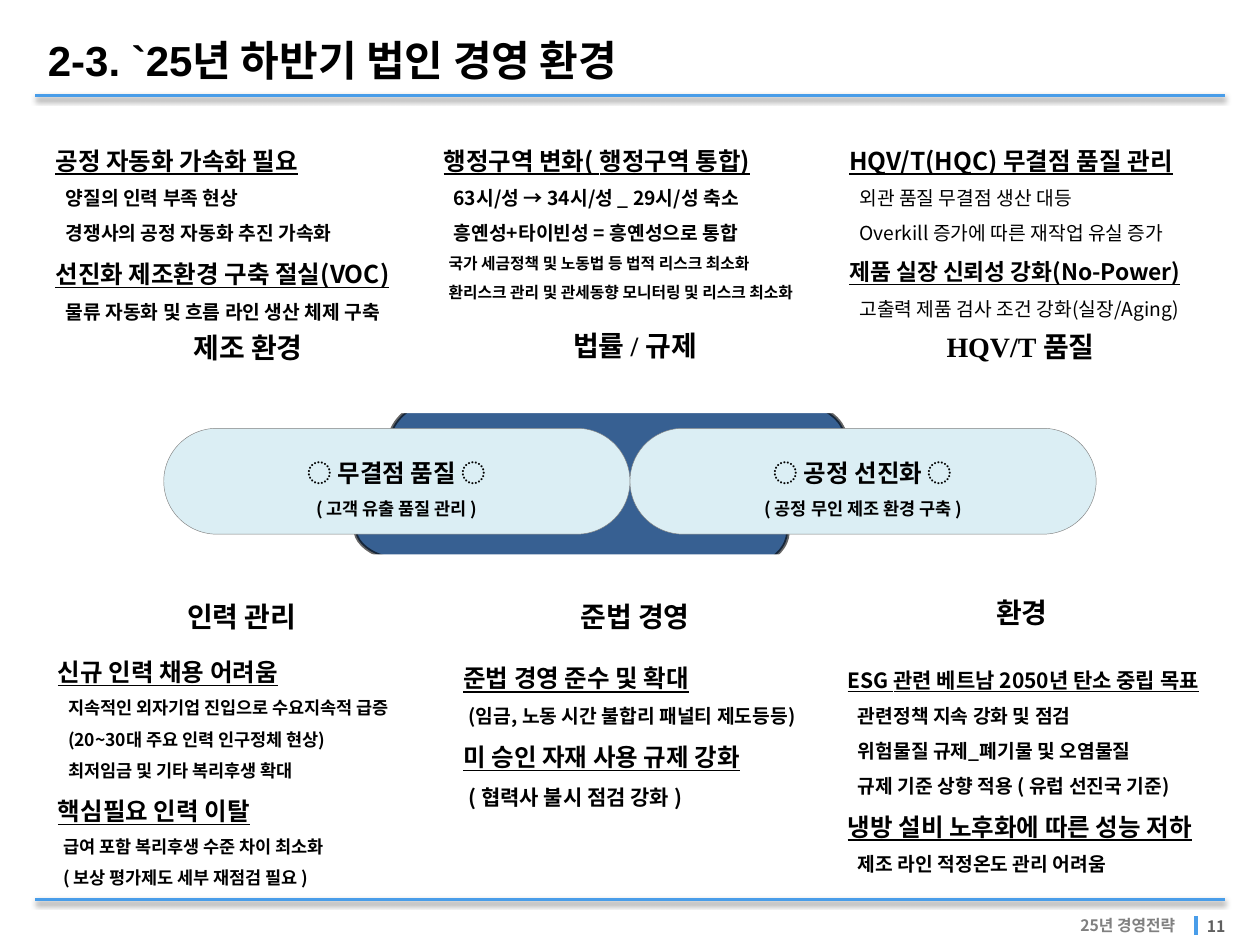
from dataclasses import dataclass
from lxml import etree
from pptx import Presentation
from pptx.dml.color import RGBColor
from pptx.enum.shapes import MSO_CONNECTOR, MSO_SHAPE
from pptx.enum.text import MSO_ANCHOR, MSO_AUTO_SIZE, PP_ALIGN
from pptx.oxml import parse_xml
from pptx.oxml.ns import nsdecls, qn
from pptx.util import Inches, Pt

ROUND, CLOUD = MSO_SHAPE.ROUNDED_RECTANGLE, MSO_SHAPE.CLOUD
LINE = MSO_CONNECTOR.STRAIGHT
TOP, MID = MSO_ANCHOR.TOP, MSO_ANCHOR.MIDDLE
LEFT, CENTER = PP_ALIGN.LEFT, PP_ALIGN.CENTER
FIXED = MSO_AUTO_SIZE.NONE
NOTO, ARIAL, TIMES = "Noto Sans CJK KR", "Arial", "Times New Roman"
WHITE, BLACK, BLUE, PALE = "FFFFFF", "000000", "499DE9", "DBEEF4"
WIDE, HIGH = Inches(10), Inches(7.5)
STEP = Inches(0.04)
PILL = (37, 11.2)
HEAD = (20.6, 8.53)
SHADE = (
    f'<a:effectLst {nsdecls("a")}><a:outerShdw blurRad="39370" dist="20320" '
    'dir="5400000" rotWithShape="0"><a:srgbClr val="000000">'
    '<a:alpha val="38000"/></a:srgbClr></a:outerShdw></a:effectLst>'
)


@dataclass
class Area:
    x: float
    y: float
    w: float
    h: float

    def emu(self) -> tuple:
        return (across(self.x), down(self.y), across(self.w), down(self.h))


@dataclass
class Row:
    text: str
    size: float
    dent: int = 0
    bold: bool = True
    under: bool = False


@dataclass
class Topic:
    name: str
    head: tuple
    area: Area
    rows: list


def across(share: float) -> int:
    return int(WIDE * share / 100)


def down(share: float) -> int:
    return int(HIGH * share / 100)


def hue(code: str) -> RGBColor:
    return RGBColor.from_string(code)


def apply(item, form: dict) -> None:
    for key, val in form.items():
        setattr(item, key, val)


def lead(text: str, size: float) -> Row:
    return Row(text, size, under=True)


def write(shape, rows: list, font=NOTO, color=BLACK, align=LEFT,
          anchor=TOP, gap=1.0, wrap=True) -> None:
    frame = shape.text_frame
    apply(frame, dict(word_wrap=wrap, auto_size=FIXED, vertical_anchor=anchor,
                      margin_left=Inches(0.1), margin_right=Inches(0.1),
                      margin_top=Inches(0.05), margin_bottom=Inches(0.05)))
    for pos, row in enumerate(rows):
        para = frame.add_paragraph() if pos else frame.paragraphs[0]
        props = para._p.get_or_add_pPr()
        props.set("marL", str(row.dent * STEP))
        props.set("indent", "0")
        etree.SubElement(props, qn("a:buNone"))
        apply(para, dict(alignment=align, line_spacing=gap,
                         space_before=Pt(0), space_after=Pt(0)))
        run = para.add_run()
        run.text = row.text
        apply(run.font, dict(name=font, size=Pt(row.size), bold=row.bold,
                             underline=row.under))
        run.font.color.rgb = hue(color)
        east = etree.SubElement(run._r.get_or_add_rPr(), qn("a:ea"))
        east.set("typeface", NOTO)


def block(slide, kind, area: Area, fill: str, edge=None, width=0.25):
    shape = slide.shapes.add_shape(kind, *area.emu())
    shape.shadow.inherit = False
    shape.fill.solid()
    shape.fill.fore_color.rgb = hue(fill)
    if kind == ROUND:
        shape.adjustments[0] = 0.5
    if edge:
        shape.line.color.rgb = hue(edge)
        shape.line.width = Pt(width)
    else:
        shape.line.fill.background()
    return shape


def rule(slide, x1, y1, x2, y2, width, shade=False) -> None:
    line = slide.shapes.add_connector(LINE, across(x1), down(y1), across(x2), down(y2))
    line.line.color.rgb = hue(BLUE)
    line.line.width = Pt(width)
    blank = f'<a:effectLst {nsdecls("a")}/>'
    line._element.spPr.append(parse_xml(SHADE if shade else blank))


def label(slide, area: Area, text: str, color: str, **form) -> None:
    box = slide.shapes.add_textbox(*area.emu())
    write(box, [Row(text, 9)], color=color, anchor=MID, **form)


def settle(slide, shape, area: Area) -> None:
    apply(shape, dict(zip(("left", "top", "width", "height"), area.emu())))
    slide.shapes._spTree.append(shape._element)


TOPICS = [
    Topic("HQV/T 품질", (70.7, 32.4), Area(66.4, 13.2, 31.1, 21.87), [
        lead("HQV/T(HQC) 무결점 품질 관리", 14),
        Row("외관 품질 무결점 생산 대등", 11, 2, False),
        Row("Overkill 증가에 따른 재작업 유실 증가", 11, 2, False),
        lead("제품 실장 신뢰성 강화(No-Power)", 13),
        Row("고출력 제품 검사 조건 강화(실장/Aging)", 11, 2, False)]),
    Topic("제조 환경", (9.4, 32.53), Area(3.4, 13.2, 31.5, 21.87), [
        lead("공정 자동화 가속화 필요", 14),
        Row("양질의 인력 부족 현상", 11, 2),
        Row("경쟁사의 공정 자동화 추진 가속화", 11, 2),
        lead("선진화 제조환경 구축 절실(VOC)", 14),
        Row("물류 자동화 및 흐름 라인 생산 체제 구축", 11, 2)]),
    Topic("법률 / 규제", (40.1, 32.27), Area(34.2, 13.2, 34.7, 19.47), [
        lead("행정구역 변화( 행정구역 통합)", 14),
        Row("63시/성 → 34시/성 _ 29시/성 축소", 11, 2),
        Row("흥옌성+타이빈성 = 흥옌성으로 통합", 11, 2),
        Row("국가 세금정책 및 노동법 등 법적 리스크 최소화", 9, 1),
        Row("환리스크 관리 및 관세동향 모니터링 및 리스크 최소화", 9, 1)]),
    Topic("인력 관리", (8.9, 60.93), Area(3.6, 67.33, 34.6, 30.93), [
        lead("신규 인력 채용 어려움", 14),
        Row("지속적인 외자기업 진입으로 수요지속적 급증", 10, 2),
        Row("(20~30대 주요 인력 인구정체 현상)", 10, 2),
        Row("최저임금 및 기타 복리후생 확대", 10, 2),
        lead("핵심필요 인력 이탈", 14),
        Row("급여 포함 복리후생 수준 차이 최소화", 10, 1),
        Row("( 보상 평가제도 세부 재점검 필요 )", 10, 1)]),
    Topic("준법 경영", (40.1, 60.93), Area(35.8, 68, 31.4, 18.53), [
        lead("준법 경영 준수 및 확대", 14),
        Row("(임금, 노동 시간 불합리 패널티 제도등등)", 11, 1),
        lead("미 승인 자재 사용 규제 강화", 14),
        Row("( 협력사 불시 점검 강화 )", 12, 1)]),
    Topic("환경", (70.8, 60.53), Area(66.3, 68.67, 33.7, 24.93), [
        lead("ESG 관련 베트남 2050년 탄소 중립 목표", 12),
        Row("관련정책 지속 강화 및 점검", 11, 2),
        Row("위험물질 규제_폐기물 및 오염물질", 11, 2),
        Row("규제 기준 상향 적용 ( 유럽 선진국 기준)", 11, 2),
        lead("냉방 설비 노후화에 따른 성능 저하", 14),
        Row("제조 라인 적정온도 관리 어려움", 11, 2)]),
]
GOALS = [
    (50, "◌ 공정 선진화 ◌", "( 공정 무인 제조 환경 구축 )"),
    (13, "◌ 무결점 품질 ◌", "( 고객 유출 품질 관리 )"),
]


def main() -> None:
    deck = Presentation()
    apply(deck, dict(slide_width=WIDE, slide_height=HIGH))
    slide = deck.slides.add_slide(deck.slide_layouts[4])
    title, *lists = slide.placeholders

    for y in (10.13, 95.2):
        rule(slide, 97.2, y, 2.8, y, 2, True)
    label(slide, Area(94.8, 96.93, 4.4, 2.67), "11", "5F5F5F", gap=0.6)
    label(slide, Area(83.7, 96.27, 11.6, 3.33), "25년 경영전략", "808080",
          align=CENTER, wrap=False)
    rule(slide, 94.9, 96.93, 94.9, 98.93, 2.25)

    settle(slide, title, Area(2.8, 3.73, 77.2, 6))
    write(title, [Row("2-3. `25년 하반기 법인 경영 환경", 24)], ARIAL,
          anchor=MID, gap=0.85)

    cloud = block(slide, CLOUD, Area(27.3, 39.33, 40.7, 24.27), "376092", BLACK, 2)
    tint = cloud.line._ln.find(".//" + qn("a:srgbClr"))
    etree.SubElement(tint, qn("a:alpha")).set("val", "60000")
    for area in (Area(3.5, 14.4, 93.3, 29.33), Area(3.4, 58.67, 93.5, 29.47)):
        block(slide, ROUND, area, WHITE)

    for topic in TOPICS:
        head = block(slide, ROUND, Area(*topic.head, *HEAD), WHITE)
        write(head, [Row(topic.name, 16)], TIMES, align=CENTER, anchor=MID, wrap=False)
    for topic in TOPICS:
        if lists:
            box = lists.pop(0)
            settle(slide, box, topic.area)
        else:
            box = slide.shapes.add_textbox(*topic.area.emu())
        write(box, topic.rows, gap=1.5)

    for x, goal, note in GOALS:
        pill = block(slide, ROUND, Area(x, 45.33, *PILL), PALE, "808080")
        write(pill, [Row(goal, 14), Row(note, 10)], align=CENTER, anchor=MID, gap=1.5)
    deck.save("out.pptx")


if __name__ == "__main__":
    main()
